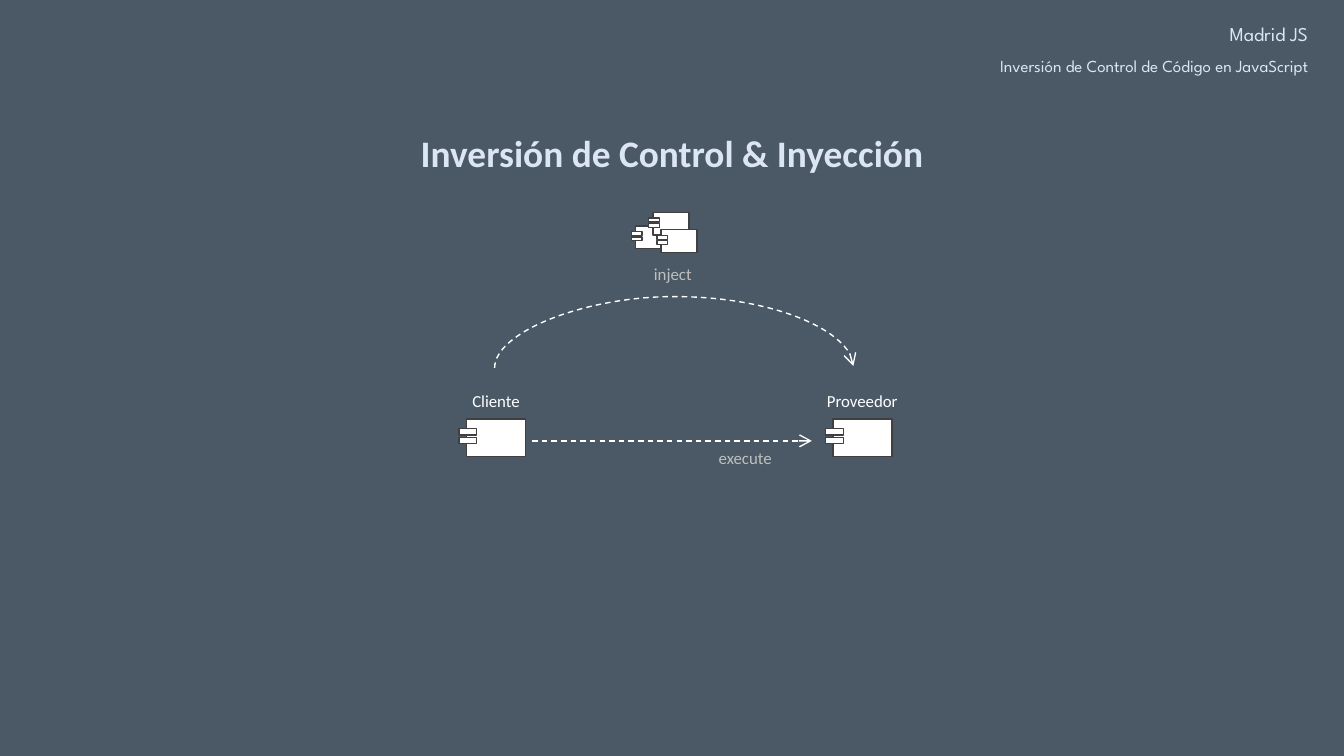
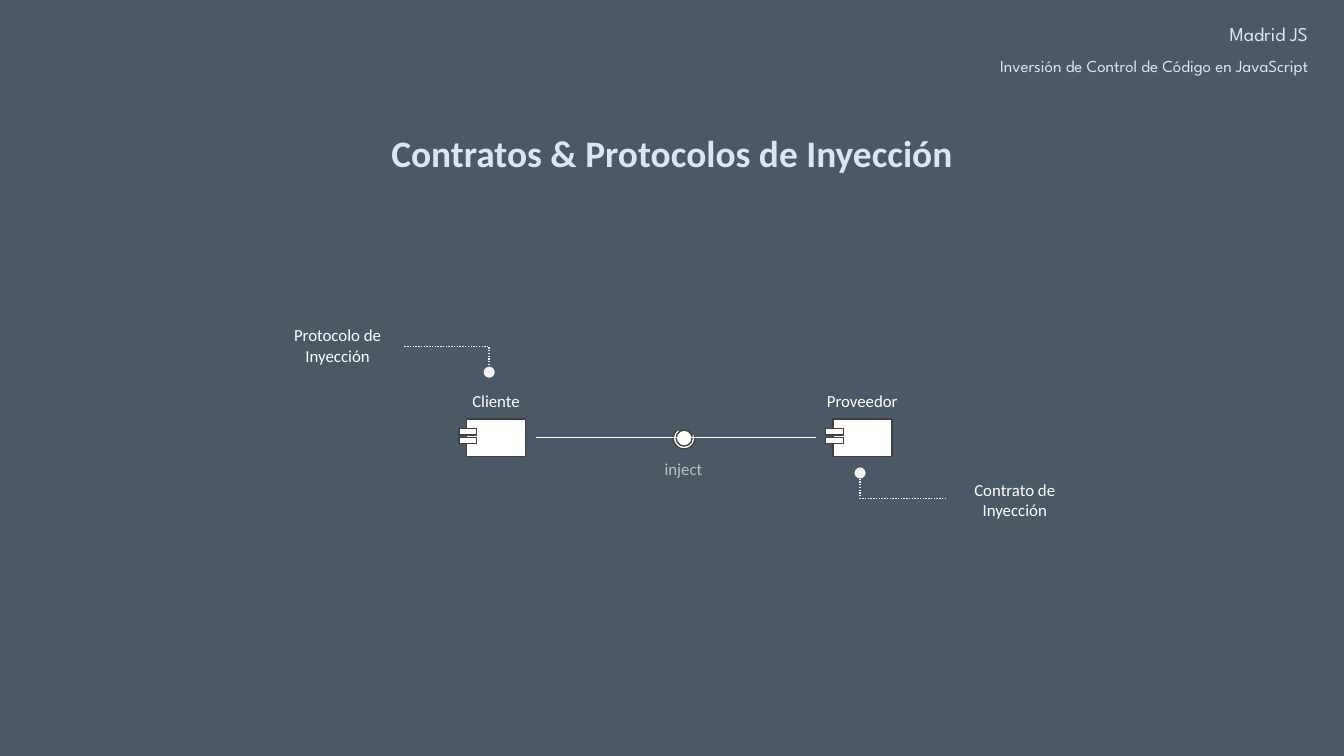
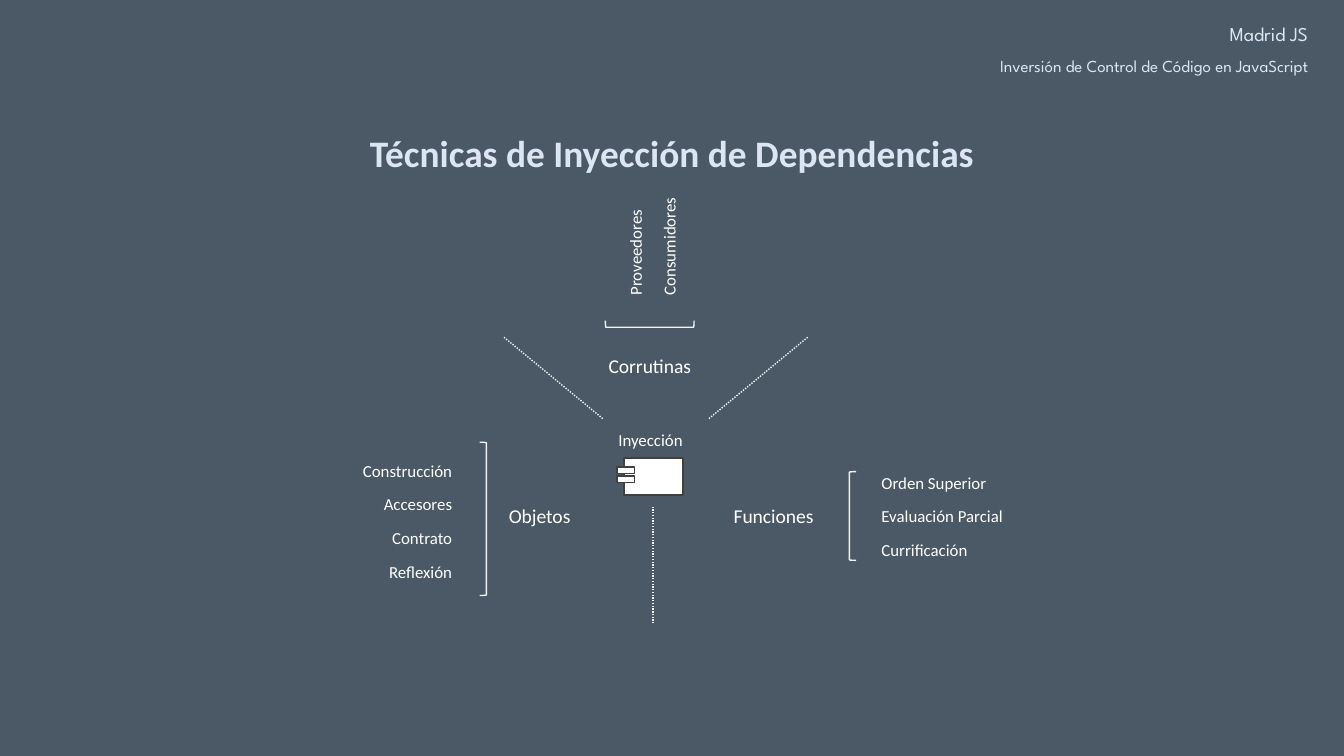
from lxml import etree
from pptx import Presentation
from pptx import util as u
from pptx.dml.color import RGBColor
from pptx.enum import dml, shapes, text
from pptx.oxml.ns import qn

Pt = u.Pt
COLORS = {
    "background": "2B3C4B",
    "heading": "DCE6F2",
    "white": "FFFFFF",
    "guide": "F2F2F2",
    "action": "BFBFBF",
    "outline": "404040",
}
RGB = {name: RGBColor.from_string(value) for name, value in COLORS.items()}
SLIDE_WIDTH, SLIDE_HEIGHT = 720, 405
LINE_WIDTH = Pt(0.75)
LEFT, CENTER, RIGHT = text.PP_ALIGN.LEFT, text.PP_ALIGN.CENTER, text.PP_ALIGN.RIGHT
STRAIGHT, ELBOW, CURVE = (
    shapes.MSO_CONNECTOR.STRAIGHT, shapes.MSO_CONNECTOR.ELBOW, shapes.MSO_CONNECTOR.CURVE)
DASH, DOTS = dml.MSO_LINE.DASH, dml.MSO_LINE.ROUND_DOT


def write(parent, content, left, top, width, height=13, size=9, color="white",
          font="Calibri", bold=False, align=CENTER, spacing=None, inset_top=0, wrap=True):
    """Add a text box with one paragraph for each line of the content."""
    box = parent.add_textbox(Pt(left), Pt(top), Pt(width), Pt(height))
    frame = box.text_frame
    frame.word_wrap = wrap
    frame.margin_top = Pt(inset_top)
    for index, line in enumerate(content.split("\n")):
        paragraph = frame.add_paragraph() if index else frame.paragraphs[0]
        paragraph.alignment = align
        paragraph.line_spacing = spacing
        if index:
            paragraph.space_before = Pt(1.8)
        run = paragraph.add_run()
        run.text = line
        run.font.size = Pt(size)
        run.font.name = font
        run.font.bold = bold
        run.font.color.rgb = RGB[color]
    return box


def connect(slide, kind, start, end, color="white", dash=None, tail=None):
    """Add a thin connector without shadow."""
    connector = slide.shapes.add_connector(kind, *(Pt(value) for value in start + end))
    connector.line.color.rgb = RGB[color]
    connector.line.width = LINE_WIDTH
    if dash:
        connector.line.dash_style = dash
    properties = connector._element.spPr
    if tail:
        etree.SubElement(properties.find(qn("a:ln")), qn("a:tailEnd"), type=tail)
    etree.SubElement(properties, qn("a:effectLst"))
    return connector


presentation = Presentation()
presentation.slide_width = Pt(SLIDE_WIDTH)
presentation.slide_height = Pt(SLIDE_HEIGHT)

# Shared background, header and title
titles = [
    ("Inversión de Control & Inyección", 286.6),
    ("Contratos & Protocolos de Inyección", 317.5),
    ("Técnicas de Inyección de Dependencias", 341.3),
]
slides = []
for title, title_width in titles:
    slide = presentation.slides.add_slide(presentation.slide_layouts[6])
    slides.append(slide)
    backdrop = slide.shapes.add_shape(
        shapes.MSO_SHAPE.RECTANGLE, 0, 0, Pt(SLIDE_WIDTH), Pt(SLIDE_HEIGHT))
    backdrop.shadow.inherit = False
    backdrop.line.fill.background()
    backdrop.fill.solid()
    backdrop.fill.fore_color.rgb = RGB["background"]
    fill_color = backdrop._element.spPr.find(qn("a:solidFill")).find(qn("a:srgbClr"))
    etree.SubElement(fill_color, qn("a:alpha"), val="85000")

    header = write(slide.shapes, "Madrid JS\nInversión de Control de Código en JavaScript",
                   437.8, 10.8, 270, 25.2, color="heading", font="League Spartan",
                   align=RIGHT, inset_top=3.6)
    group_name, talk_name = header.text_frame.paragraphs
    group_name.runs[0].font.size = Pt(10.5)
    group_name.line_spacing = Pt(10)
    talk_name.line_spacing = Pt(14.6)

    title_box = write(slide.shapes, title, (SLIDE_WIDTH - title_width) / 2, 66.2, title_width,
                      31.7, size=20, color="heading", bold=True, inset_top=3.6, wrap=False)
    title_box.text_frame.auto_size = text.MSO_AUTO_SIZE.SHAPE_TO_FIT_TEXT

injection, contracts, techniques = slides

# Components: slide, left and top of the body, scale
components = [
    (injection, 249.8, 224.6, 1),
    (injection, 446.2, 224.6, 1),
    (injection, 340.6, 121, 0.61),
    (injection, 349.9, 113.8, 0.61),
    (injection, 354.2, 123.1, 0.61),
    (contracts, 249.8, 224.6, 1),
    (contracts, 446.2, 224.6, 1),
    (techniques, 334.3, 245.3, 1),
]
component_parts = [(0, 0, 31.7, 20), (-3.8, 5, 9.4, 3.4), (-3.8, 9.7, 9.4, 3.4)]
for slide, left, top, scale in components:
    component = slide.shapes.add_group_shape()
    for x, y, width, height in component_parts:
        part = component.shapes.add_shape(
            shapes.MSO_SHAPE.RECTANGLE, Pt(left + x * scale), Pt(top + y * scale),
            Pt(width * scale), Pt(height * scale))
        part.shadow.inherit = False
        part.fill.solid()
        part.fill.fore_color.rgb = RGB["white"]
        part.line.color.rgb = RGB["outline"]
        part.line.width = LINE_WIDTH

# Labels of the components and relations
for slide in (injection, contracts):
    write(slide.shapes, "Cliente", 243.4, 209.5, 44.6)
    write(slide.shapes, "Proveedor", 434.9, 209.5, 54)
write(techniques.shapes, "Inyección", 323.3, 230.4, 50.4)
write(injection.shapes, "inject", 333.4, 141.1, 54, color="action")
write(injection.shapes, "execute", 372.2, 239.8, 54, color="action")
write(contracts.shapes, "inject", 339.1, 245.5, 54, color="action")

# Slide 1: call and injection arrows
connect(injection, STRAIGHT, (285.1, 236.2), (434.9, 236.2), dash=DASH, tail="arrow")
arch = connect(injection, CURVE, (361.6, 292.7), (360.6, 100.5), dash=DASH, tail="arrow")
arch_properties = arch._element.spPr
arch_properties.find(qn("a:xfrm")).set("rot", "5400000")
arch_guides = arch_properties.find(qn("a:prstGeom")).find(qn("a:avLst"))
etree.SubElement(arch_guides, qn("a:gd"), name="adj1", fmla="val 3850000")

# Slide 2: socket and ball on the line between the components
joint = contracts.shapes.add_group_shape()
for kind, left, top, diameter in [(shapes.MSO_SHAPE.ARC, 360.7, 229, 11.5),
                                  (shapes.MSO_SHAPE.OVAL, 362.2, 230.4, 8.6)]:
    ring = joint.shapes.add_shape(kind, Pt(left), Pt(top), Pt(diameter), Pt(diameter))
    ring.shadow.inherit = False
    ring.rotation = 180
    ring.fill.solid()
    ring.fill.fore_color.rgb = RGB["white"]
    ring.line.color.rgb = RGB["outline"]
    ring.line.width = LINE_WIDTH
    if kind == shapes.MSO_SHAPE.ARC:
        ring.adjustments[0] = 97.2
        ring.adjustments[1] = 31.31
connect(contracts, STRAIGHT, (287.3, 234.4), (437, 234.4))

# Slide 2: callouts
callouts = [
    ("Protocolo de Inyección", 149.8, 174.2, (216.7, 185.8), (262.1, 199.4)),
    ("Contrato de Inyección", 512.6, 257, (506.9, 267.1), (460.8, 253.4)),
]
for label, left, top, start, end in callouts:
    write(contracts.shapes, label, left, top, 62)
    leader = connect(contracts, ELBOW, start, end, color="guide", dash=DOTS, tail="oval")
    leader._element.spPr.find(qn("a:prstGeom")).set("prst", "bentConnector2")

# Slide 3: dividers between the three families
for start, end in [((270, 180.7), (323.3, 224.6)),
                   ((432.7, 180.7), (379.4, 224.6)),
                   ((349.9, 271.4), (349.9, 333.4))]:
    connect(techniques, STRAIGHT, start, end, color="guide", dash=DOTS)

# Slide 3: family names
for family, left, top in [("Corrutinas", 303.1, 189.4),
                          ("Objetos", 244.1, 270),
                          ("Funciones", 369.4, 270)]:
    write(techniques.shapes, family, left, top, 90, size=10.5)

# Slide 3: bracket (box, rotation) and list (text, box, alignment, rotation)
families = [
    ((257, 236.9, 3.6, 82.1), 180,
     "Construcción\nAccesores\nContrato\nReflexión", (171.4, 241.2, 77.8, 76.3), RIGHT, 0),
    ((455, 252.7, 3.6, 47.5), 0,
     "Orden Superior\nEvaluación Parcial\nCurrificación", (465.1, 247.7, 90, 60.5), LEFT, 0),
    ((346.3, 149.8, 3.6, 47.5), 270,
     "Proveedores\nConsumidores", (315.4, 108.7, 70.6, 42.5), LEFT, 270),
]
for bracket_box, bracket_rotation, items, list_box, align, list_rotation in families:
    family_group = techniques.shapes.add_group_shape()
    bracket = family_group.shapes.add_shape(
        shapes.MSO_SHAPE.LEFT_BRACKET, *(Pt(value) for value in bracket_box))
    bracket.shadow.inherit = False
    bracket.rotation = bracket_rotation
    bracket.fill.background()
    bracket.line.color.rgb = RGB["guide"]
    bracket.line.width = LINE_WIDTH
    item_list = write(family_group.shapes, items, *list_box, align=align, spacing=1.5)
    item_list.rotation = list_rotation

presentation.save("out.pptx")
